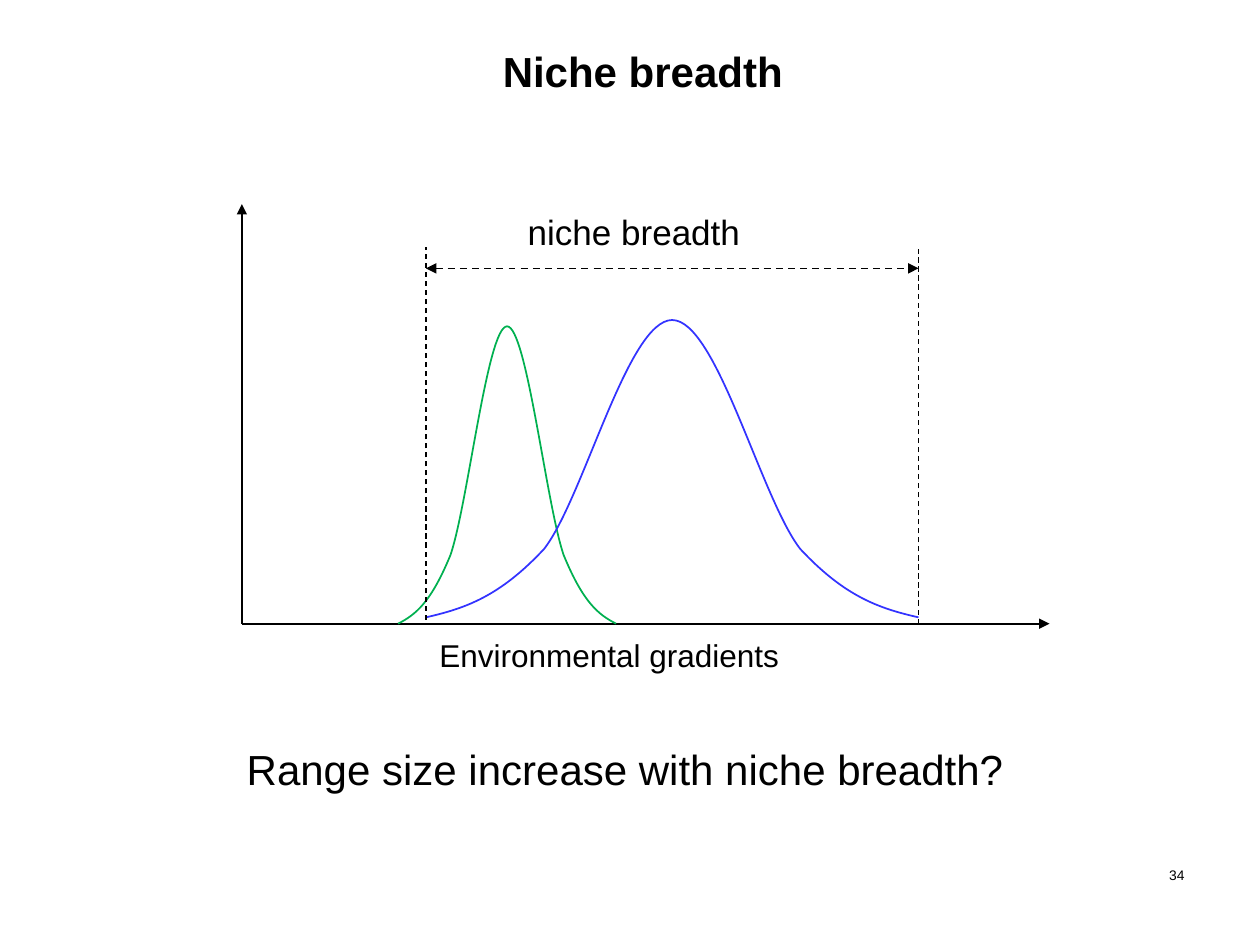
from lxml import etree
from pptx import Presentation
from pptx.dml.color import RGBColor
from pptx.enum.dml import MSO_LINE
from pptx.enum.shapes import MSO_CONNECTOR
from pptx.enum.text import MSO_ANCHOR, PP_ALIGN
from pptx.oxml.ns import qn
from pptx.util import Inches, Pt

STRAIGHT = MSO_CONNECTOR.STRAIGHT
DASH = MSO_LINE.DASH
LEFT, CENTER, RIGHT = PP_ALIGN.LEFT, PP_ALIGN.CENTER, PP_ALIGN.RIGHT
TOP = MSO_ANCHOR.TOP

FONT = "Arial"
COLORS = {"ink": "000000", "narrow": "00B050", "broad": "3333FF"}

RISE = [(0, 0), (0.08, 0.03), (0.15, 0.07), (0.24, 0.23),
        (0.32, 0.4), (0.41, 1), (0.5, 1)]
BELL = RISE + [(1 - x, y) for x, y in reversed(RISE[:-1])]


def color(name):
    return RGBColor.from_string(COLORS[name])


def write(shape, text, size, align=LEFT, bold=False, wrap=False):
    frame = shape.text_frame
    frame.word_wrap = wrap
    frame.vertical_anchor = TOP
    para = frame.paragraphs[0]
    para.text = text
    para.alignment = align
    para.font.name = FONT
    para.font.size = Pt(size)
    para.font.bold = bold
    para.font.color.rgb = color("ink")


def add_text(page, box, text, size, align=LEFT, wrap=False):
    shape = page.shapes.add_textbox(*map(Inches, box))
    write(shape, text, size, align, wrap=wrap)


def add_title(page, box, text):
    title = page.shapes.title
    title.left, title.top, title.width, title.height = map(Inches, box)
    write(title, text, 24, bold=True)


def add_line(page, start, end, width, dashed=False, arrows=()):
    connector = page.shapes.add_connector(STRAIGHT, *map(Inches, start + end))
    connector.line.color.rgb = color("ink")
    connector.line.width = Pt(width)
    if dashed:
        connector.line.dash_style = DASH
    properties = connector.element.spPr
    outline = properties.find(qn("a:ln"))
    for arrow in arrows:
        etree.SubElement(outline, qn(f"a:{arrow}"), type="triangle")
    etree.SubElement(properties, qn("a:effectLst"))


def add_bell(page, box, color_name):
    left, top, width, height = box
    points = [(Inches(left + x * width), Inches(top + (1 - y) * height))
              for x, y in BELL]
    builder = page.shapes.build_freeform(*points[0])
    builder.add_line_segments(points[1:], close=False)
    bell = builder.convert_to_shape()
    bell.shadow.inherit = False
    bell.fill.background()
    bell.line.color.rgb = color(color_name)
    bell.line.width = Pt(1)

    outline = next(bell.element.iter(qn("a:path")))
    segments = outline.findall(qn("a:lnTo"))
    for first in range(0, len(segments), 3):
        curve = etree.SubElement(outline, qn("a:cubicBezTo"))
        for segment in segments[first:first + 3]:
            curve.append(segment[0])
            outline.remove(segment)


def add_niche_diagram(page, box):
    left, top, width, height = box
    base = top + height
    low, high = left + 1.46, left + 5.37
    span_y = top + 0.51

    add_line(page, (left, base), (left + width, base), 1, arrows=["tailEnd"])
    add_bell(page, (left + 1.24, top + 0.97, 1.73, 2.36), "narrow")
    add_bell(page, (low, top + 0.92, high - low, 2.36), "broad")
    add_text(page, (left - 0.41, base + 0.05, 6.65, 0.4),
             "Environmental gradients", 18, CENTER, wrap=True)
    add_line(page, (left, base), (left, top), 1.5, arrows=["tailEnd"])
    add_line(page, (low, base - 0.03), (low, top + 0.34), 0.75, dashed=True)
    add_line(page, (high, base), (high, top + 0.36), 0.75, dashed=True)
    add_line(page, (low, span_y), (high, span_y), 1, dashed=True,
             arrows=["headEnd", "tailEnd"])
    add_text(page, (left + 2.17, top, 1.9, 0.44), "niche breadth", 20)


def main():
    deck = Presentation()
    deck.slide_width, deck.slide_height = Inches(10), Inches(7.5)
    page = deck.slides.add_slide(deck.slide_layouts[5])
    add_title(page, (3.89, 0.31, 2.45, 0.5), "Niche breadth")
    add_niche_diagram(page, (1.92, 1.62, 6.41, 3.33))
    add_text(page, (1.86, 5.85, 6.27, 0.5),
             "Range size increase with niche breadth?", 24)
    add_text(page, (7.17, 6.83, 2.33, 0.52), "34", 7.9, RIGHT, wrap=True)
    deck.save("out.pptx")


if __name__ == "__main__":
    main()
